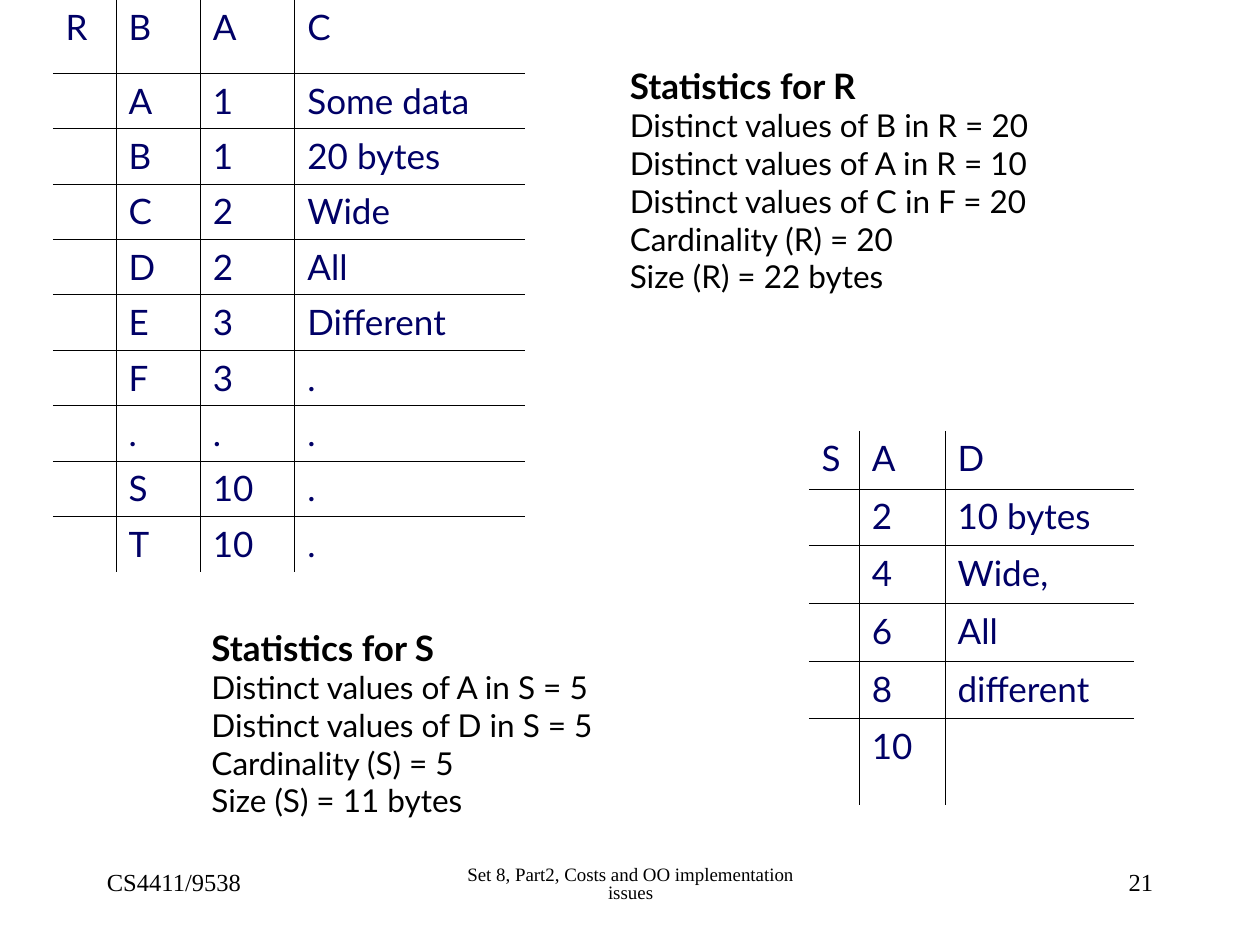
from lxml.etree import SubElement
from pptx import Presentation
from pptx.dml.color import RGBColor
from pptx.enum.text import PP_ALIGN
from pptx.oxml import parse_xml
from pptx.oxml.ns import nsdecls, qn
from pptx.util import Inches, Pt

SERIF, SANS = "Times New Roman", "Lato"
BLACK, NAVY = "000000", "000066"

TABLES = [
    {"at": (0.42, 0), "cols": [0.5, 0.67, 0.75, 1.83],
     "rows": [0.58] + [0.44] * 9,
     "cells": [("R", "B", "A", "C"),
               ("", "A", "1", "Some data"),
               ("", "B", "1", "20 bytes"),
               ("", "C", "2", "Wide"),
               ("", "D", "2", "All"),
               ("", "E", "3", "Different"),
               ("", "F", "3", "."),
               ("", ".", ".", "."),
               ("", "S", "10", "."),
               ("", "T", "10", ".")]},
    {"at": (6.42, 3.42), "cols": [0.4, 0.68, 1.5],
     "rows": [0.46, 0.45, 0.46, 0.46, 0.45, 0.69],
     "cells": [("S", "A", "D"),
               ("", "2", "10 bytes"),
               ("", "4", "Wide,"),
               ("", "6", "All"),
               ("", "8", "different"),
               ("", "10", "")]},
]

STATS = [
    ((4.9, 0.46, 4.21, 1.94),
     ["Statistics for R", "Distinct values of B in R = 20",
      "Distinct values of A in R = 10", "Distinct values of C in F = 20",
      "Cardinality (R) = 20", "Size (R) = 22 bytes"]),
    ((1.58, 4.92, 3.42, 1.64),
     ["Statistics for S", "Distinct values of A in S = 5",
      "Distinct values of D in S = 5", "Cardinality (S) = 5",
      "Size (S) = 11 bytes"]),
]

FOOTER = [
    (0.75, 2.08, "CS4411/9538", 14, PP_ALIGN.LEFT, 1),
    (3.42, 3.17, "Set 8, Part2, Costs and OO implementation issues",
     10.8, PP_ALIGN.CENTER, 0.8),
    (7.17, 2.08, "21", 14, PP_ALIGN.RIGHT, 1),
]


def style(para, size, face, color, bold=False):
    font = para.font
    font.size, font.name, font.bold = Pt(size), face, bold
    font.color.rgb = RGBColor.from_string(color)


def add_text(slide, box, lines):
    frame = slide.shapes.add_textbox(*map(Inches, box)).text_frame
    frame.word_wrap = True
    frame.text = "\n".join(lines)
    return frame.paragraphs


def set_edges(cell, inner):
    props = cell._tc.get_or_add_tcPr()
    for i, (side, drawn) in enumerate(zip("LRTB", inner)):
        line = parse_xml(f'<a:ln{side} {nsdecls("a")} w="{Pt(0.45)}"/>')
        if drawn:
            fill = SubElement(line, qn("a:solidFill"))
            SubElement(fill, qn("a:srgbClr"), val=BLACK)
        else:
            SubElement(line, qn("a:noFill"))
        props.insert(i, line)


def add_grid(slide, at, cols, rows, cells):
    box = (*at, sum(cols), sum(rows))
    table = slide.shapes.add_table(
        len(rows), len(cols), *map(Inches, box)).table
    table.first_row = table.horz_banding = False
    for col, width in zip(table.columns, cols):
        col.width = Inches(width)
    for r, (height, words) in enumerate(zip(rows, cells)):
        table.rows[r].height = Inches(height)
        for c, word in enumerate(words):
            cell = table.cell(r, c)
            cell.text = word
            cell.fill.background()
            para = cell.text_frame.paragraphs[0]
            para.space_before = Pt(5)
            style(para, 20, SANS, NAVY)
            set_edges(cell, (c > 0, c < len(cols) - 1,
                             r > 0, r < len(rows) - 1))


def main():
    deck = Presentation()
    deck.slide_width, deck.slide_height = Inches(10), Inches(7.5)
    slide = deck.slides.add_slide(deck.slide_layouts[6])
    for left, width, text, size, align, space in FOOTER:
        para = add_text(slide, (left, 6.83, width, 0.5), [text])[0]
        para.alignment, para.line_spacing = align, space
        style(para, size, SERIF, BLACK)
    for table in TABLES:
        add_grid(slide, **table)
    for box, lines in STATS:
        head, *body = add_text(slide, box, lines)
        style(head, 20, SANS, BLACK, True)
        for para in body:
            style(para, 18, SANS, BLACK)
    deck.save("out.pptx")


if __name__ == "__main__":
    main()
